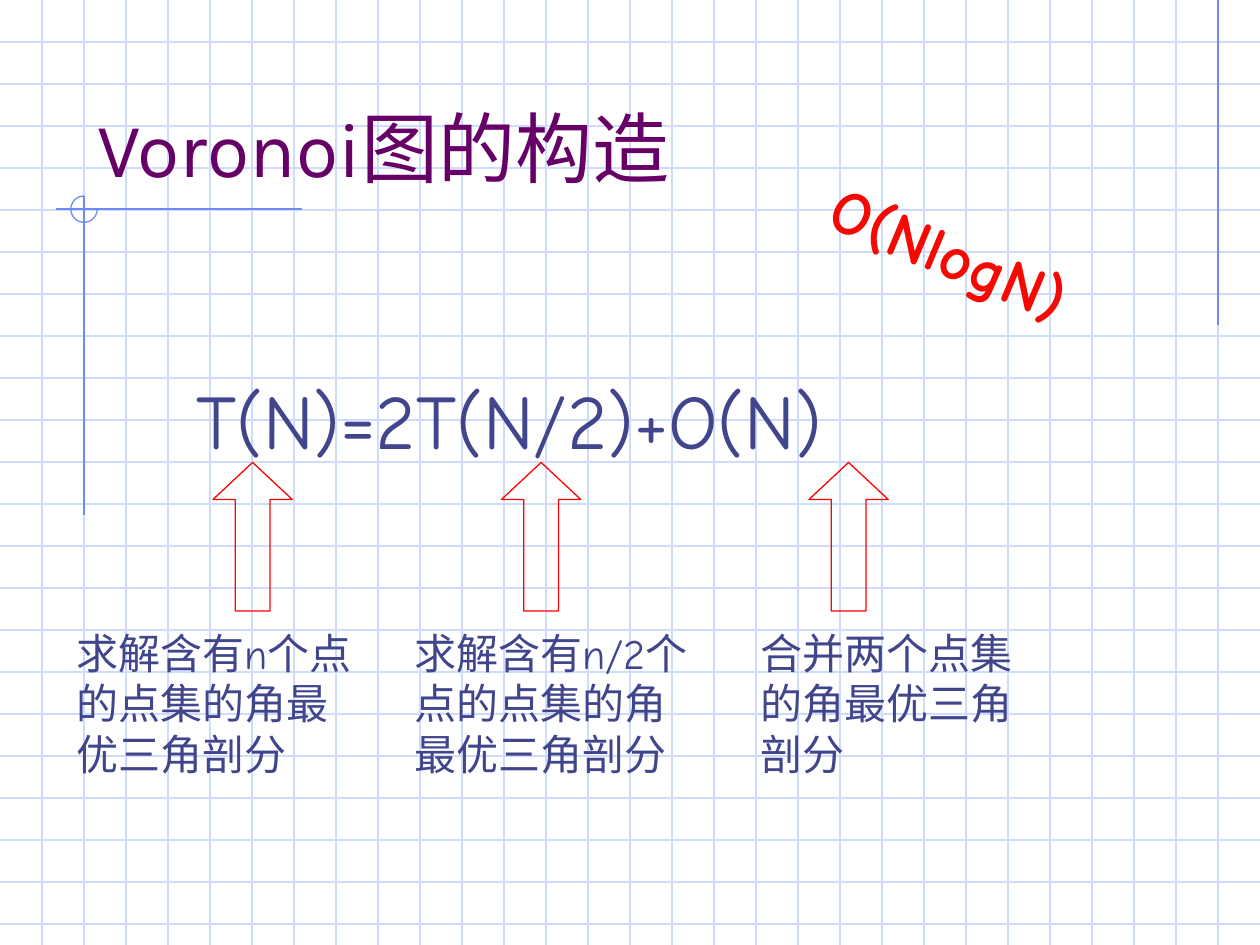
from dataclasses import dataclass

from lxml.etree import SubElement
from pptx import Presentation
from pptx.dml.color import RGBColor
from pptx.enum.shapes import MSO_CONNECTOR, MSO_SHAPE
from pptx.enum.text import MSO_ANCHOR, MSO_AUTO_SIZE, PP_ALIGN
from pptx.oxml.ns import qn
from pptx.util import Inches, Pt

WIDTH, HEIGHT = 10, 7.5
CELLS_PER_INCH = 3


@dataclass(frozen=True)
class Theme:
    """Colours, type sizes and fonts of the slide."""
    grid: str = "CFDBFD"
    accent: str = "6F89F7"
    title: str = "660066"
    body: str = "40458C"
    arrow: str = "FF0000"
    result: str = "F50903"
    title_font: str = "Karla"
    body_font: str = "Comic Neue"
    serif_font: str = "Times New Roman"
    large: int = 44
    medium: int = 36
    small: int = 24
    rule: float = 0.74


THEME = Theme()


def style_font(font, name, size, color, bold=False):
    """Apply a typeface, size and colour to a font."""
    font.name, font.size, font.bold = name, Pt(size), bold
    font.color.rgb = RGBColor.from_string(color)


def style_outline(shape, color):
    """Give a shape or connector a thin line of one colour."""
    shape.line.color.rgb = RGBColor.from_string(color)
    shape.line.width = Pt(THEME.rule)


def add_rule(slide, start, end, color):
    """Draw a straight line without a shadow."""
    rule = slide.shapes.add_connector(
        MSO_CONNECTOR.STRAIGHT, *(Inches(value) for value in (*start, *end)))
    style_outline(rule, color)
    SubElement(rule._element.spPr, qn("a:effectLst"))


def add_outline(slide, preset, box, color, adjustments):
    """Draw an unfilled preset shape in the given box."""
    outline = slide.shapes.add_shape(preset, *map(Inches, box))
    outline.shadow.inherit = False
    outline.fill.background()
    style_outline(outline, color)
    for index, value in enumerate(adjustments):
        outline.adjustments[index] = value


def add_text(slide, box, parts, size, color, bold=False, wrap=True):
    """Place one paragraph of (text, font name) parts in the given box."""
    label = slide.shapes.add_textbox(*map(Inches, box))
    frame = label.text_frame
    frame.word_wrap = wrap
    frame.auto_size = MSO_AUTO_SIZE.SHAPE_TO_FIT_TEXT
    paragraph = frame.paragraphs[0]
    style_font(paragraph.font, parts[0][1], size, color, bold)
    for text, name in parts:
        run = paragraph.add_run()
        run.text = text
        style_font(run.font, name, size, color, bold)
    return label


def draw_graph_paper(slide, width, height):
    """Cover the given area with evenly spaced grid lines."""
    for row in range(1, int(height * CELLS_PER_INCH) + 1):
        y = row / CELLS_PER_INCH
        add_rule(slide, (0, y), (width, y), THEME.grid)
    for column in range(1, width * CELLS_PER_INCH):
        x = column / CELLS_PER_INCH
        add_rule(slide, (x, 0), (x, height), THEME.grid)


def draw_margin_marks(slide, x, y):
    """Draw the accent rules and the arc centred on their crossing."""
    radius = 0.105
    right = WIDTH - 1 / CELLS_PER_INCH
    add_rule(slide, (right, 0), (right, 2.58), THEME.accent)
    add_rule(slide, (x + 1.73, y), (x - 0.22, y), THEME.accent)
    add_rule(slide, (x, y - radius), (x, y + 2.43), THEME.accent)
    add_outline(slide, MSO_SHAPE.ARC,
                (x - radius, y - radius, 2 * radius, 2 * radius),
                THEME.accent, (0, 162))


def place_title(slide, box, text):
    """Move the title placeholder to the given box and fill it."""
    title = slide.shapes.title
    slide.shapes._spTree.append(title._element)
    title.left, title.top, title.width, title.height = map(Inches, box)
    frame = title.text_frame
    frame.text = text
    frame.auto_size = MSO_AUTO_SIZE.NONE
    frame.vertical_anchor = MSO_ANCHOR.BOTTOM
    paragraph = frame.paragraphs[0]
    paragraph.alignment = PP_ALIGN.LEFT
    style_font(paragraph.font, THEME.title_font, THEME.large, THEME.title)


def draw_recurrence(slide, left, top):
    """Place the formula with an arrow and an explanation under each term."""
    body, serif = THEME.body_font, THEME.serif_font
    add_text(slide, (left, top, 5.83, 0.84), [("T(N)=2T(N/2)+O(N)", body)],
             THEME.large, THEME.body)
    terms = (
        (-0.95, 2.52, 1.3, 0.23, [("求解含有n个点的点集的角最优三角剖分", body)]),
        (1.73, 2.52, 1.7, 2.52, [("求解含有n/2个点的点集的", body),
                                 ("角最优三角剖分", serif)]),
        (4.48, 2.2, 1.3, 4.96, [("合并两个点集的", body),
                                ("角最优三角剖分", serif)]),
    )
    for note_x, width, height, arrow_x, parts in terms:
        add_text(slide, (left + note_x, top + 2.02, width, height), parts,
                 THEME.small, THEME.body)
        add_outline(slide, MSO_SHAPE.UP_ARROW,
                    (left + arrow_x, top + 0.76, 0.63, 1.18),
                    THEME.arrow, (0.438, 0.468))


def build_slide(deck):
    """Compose the Voronoi construction slide."""
    slide = deck.slides.add_slide(deck.slide_layouts[5])
    draw_graph_paper(slide, WIDTH, HEIGHT)
    draw_margin_marks(slide, 2 / CELLS_PER_INCH, 1.66)
    place_title(slide, (0.67, 0.33, 8.5, 1.25), "Voronoi图的构造")
    draw_recurrence(slide, 1.46, 2.91)
    result = add_text(slide, (6.45, 1.65, 2.18, 0.7),
                      [("O(NlogN)", THEME.body_font)],
                      THEME.medium, THEME.result, bold=True, wrap=False)
    result.rotation = 22.7


deck = Presentation()
deck.slide_width, deck.slide_height = Inches(WIDTH), Inches(HEIGHT)
build_slide(deck)
deck.save("out.pptx")
